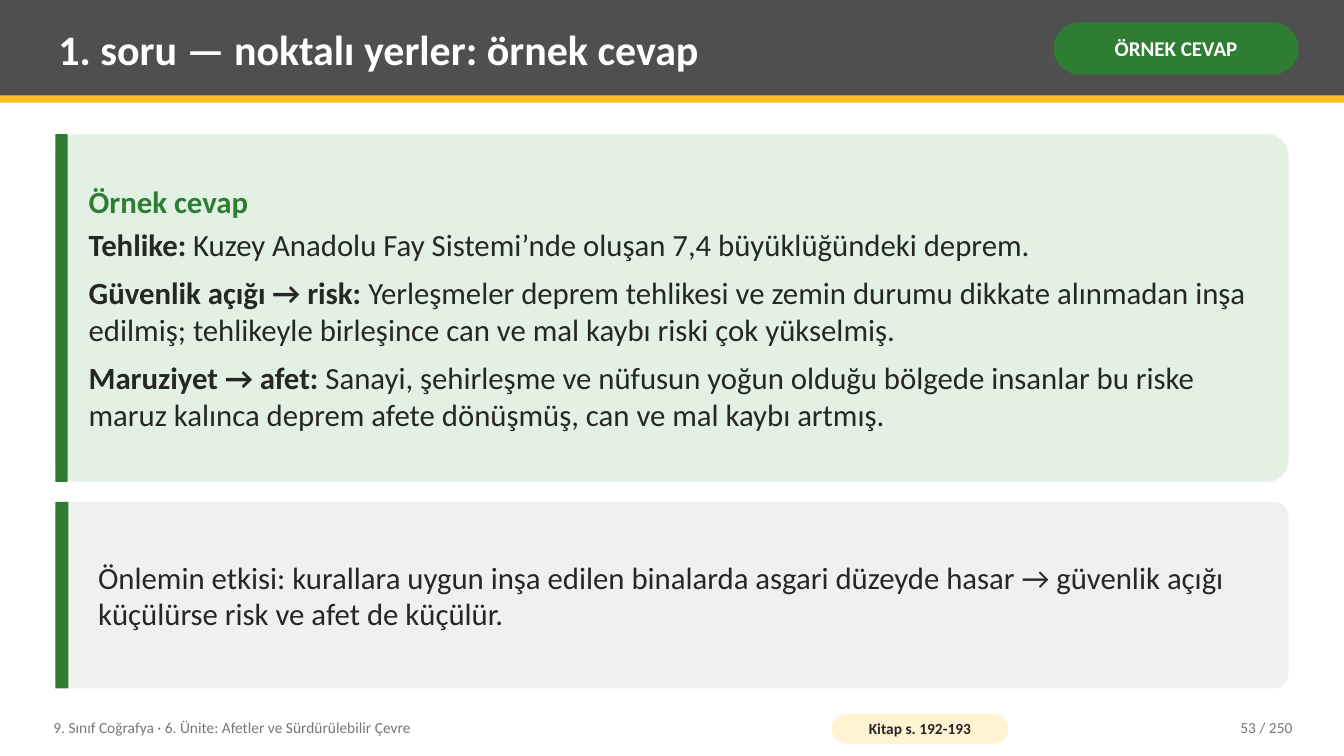
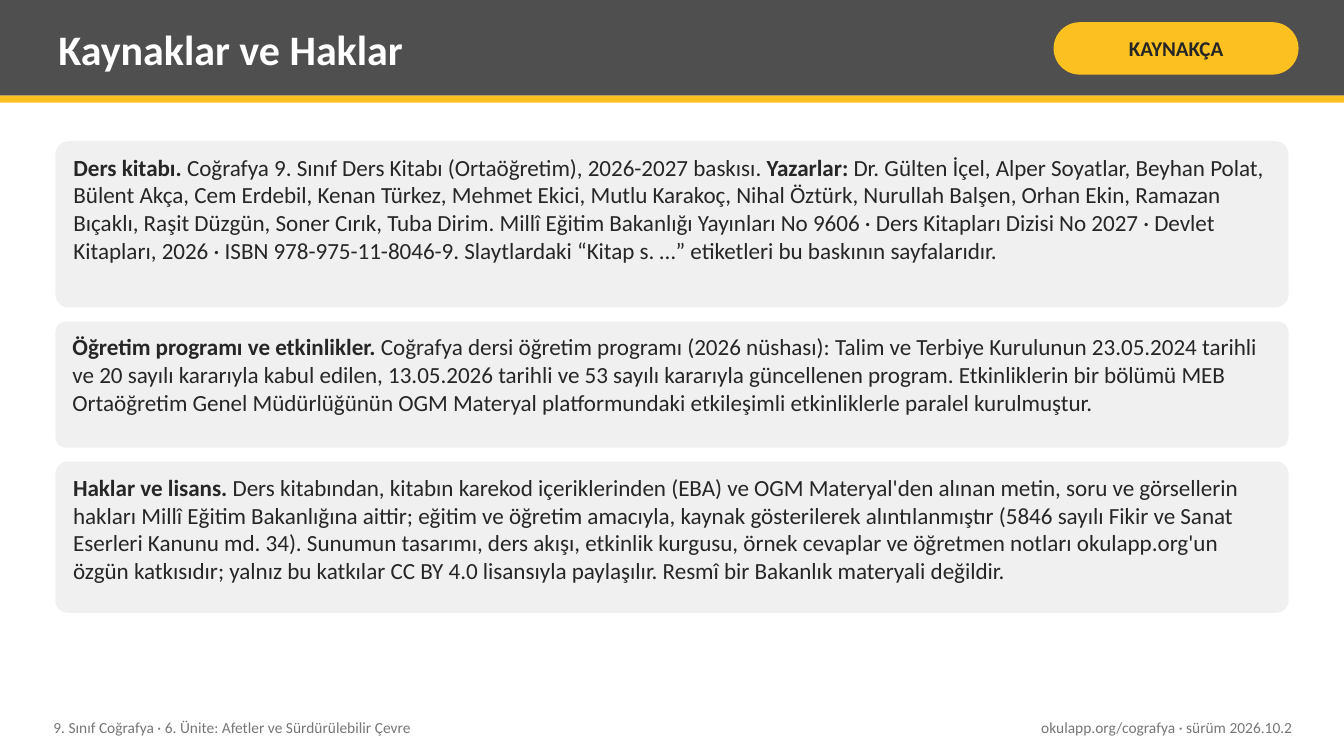
from dataclasses import dataclass

from lxml import etree
from pptx import Presentation
from pptx.dml.color import RGBColor
from pptx.enum.shapes import MSO_SHAPE
from pptx.enum.text import MSO_ANCHOR, MSO_AUTO_SIZE, PP_ALIGN
from pptx.oxml.ns import qn
from pptx.util import Emu, Pt

RECTANGLE, ROUNDED = MSO_SHAPE.RECTANGLE, MSO_SHAPE.ROUNDED_RECTANGLE
LEFT, CENTER, RIGHT = PP_ALIGN.LEFT, PP_ALIGN.CENTER, PP_ALIGN.RIGHT
TOP, MIDDLE = MSO_ANCHOR.TOP, MSO_ANCHOR.MIDDLE
NO_AUTOFIT = MSO_AUTO_SIZE.NONE
PX = 9144  # 100 px to the inch


@dataclass(frozen=True)
class Theme:
    font: str = "Calibri"
    header: str = "4F4F4F"
    accent: str = "FCC021"
    green: str = "2E7D32"
    pale_green: str = "E3F1E4"
    panel: str = "F0F0F0"
    pale_yellow: str = "FFF3D1"
    ink: str = "262626"
    muted: str = "767676"
    white: str = "FFFFFF"
    title_size: float = 30
    body_size: float = 22
    source_size: float = 16.5
    badge_size: float = 15
    footer_size: float = 11


THEME = Theme()


def write(shape, *texts, size, color=THEME.ink, heading_color=None, align=LEFT,
          anchor=MIDDLE, insets=(8, 4, 8, 4), space_after=0):
    """Fill a shape with paragraphs; text between ** marks is bold."""
    frame = shape.text_frame
    frame.word_wrap = True
    frame.auto_size = NO_AUTOFIT
    frame.vertical_anchor = anchor
    frame.margin_left, frame.margin_top, frame.margin_right, frame.margin_bottom = (
        Emu(inset * PX) for inset in insets)
    for number, text in enumerate(texts):
        is_heading = number == 0 and heading_color is not None
        paragraph = frame.add_paragraph() if number else frame.paragraphs[0]
        if shape.is_placeholder:
            properties = paragraph._p.get_or_add_pPr()
            properties.set("marL", "0")
            properties.set("indent", "0")
            etree.SubElement(properties, qn("a:buNone"))
        paragraph.alignment = align
        paragraph.space_before = Pt(0)
        is_last = number == len(texts) - 1
        paragraph.space_after = Pt(0 if is_last else 4 if is_heading else space_after)
        for index, part in enumerate(text.split("**")):
            if part:
                run = paragraph.add_run()
                run.text = part
                run.font.name = THEME.font
                run.font.size = Pt(size)
                run.font.bold = index % 2 == 1
                run.font.color.rgb = RGBColor.from_string(
                    heading_color if is_heading else color)


def add_box(slide, box, fill=None, radius=None):
    """Add a filled rectangle, rounded when a radius is given, or a text box."""
    place = [Emu(length * PX) for length in box]
    if fill is None:
        return slide.shapes.add_textbox(*place)
    shape = slide.shapes.add_shape(ROUNDED if radius else RECTANGLE, *place)
    if radius:
        shape.adjustments[0] = radius
    shape.shadow.inherit = False
    shape.fill.solid()
    shape.fill.fore_color.rgb = RGBColor.from_string(fill)
    shape.line.fill.background()
    return shape


presentation = Presentation()
presentation.slide_width, presentation.slide_height = Emu(1333 * PX), Emu(750 * PX)
layouts = presentation.slide_layouts
answer_slide = presentation.slides.add_slide(layouts.get_by_name("Title and Content"))
sources_slide = presentation.slides.add_slide(layouts.get_by_name("Title Only"))

# Header bands and unit footer, moved to the slide master
unit_footer = add_box(answer_slide, (45, 704, 760, 36))
write(unit_footer, "9. Sınıf Coğrafya · 6. Ünite: Afetler ve Sürdürülebilir Çevre",
      size=THEME.footer_size, color=THEME.muted)
master_shapes = [
    add_box(answer_slide, (0, 0, 1333, 95), THEME.header),
    add_box(answer_slide, (0, 95, 1333, 7), THEME.accent),
    unit_footer,
]
master_tree = presentation.slide_master.shapes.element
for number, shape in enumerate(master_shapes):
    shape.element.nvSpPr.cNvPr.set("id", str(101 + number))
    master_tree.insert(2 + number, shape.element)

# Title, badge and right footer of each slide
slide_frames = [
    (answer_slide, "1. soru — noktalı yerler: örnek cevap", "ÖRNEK CEVAP",
     THEME.green, THEME.white, "53 / 250"),
    (sources_slide, "Kaynaklar ve Haklar", "KAYNAKÇA",
     THEME.accent, THEME.ink, "okulapp.org/cografya · sürüm 2026.10.2"),
]
for slide, title_text, badge_text, badge_fill, badge_color, footer_text in slide_frames:
    title = slide.shapes.title
    title.left, title.top, title.width, title.height = (
        Emu(length * PX) for length in (50, 7, 975, 82))
    write(title, f"**{title_text}**", size=THEME.title_size, color=THEME.white)
    badge = add_box(slide, (1045, 22, 243, 52), badge_fill, radius=0.5)
    write(badge, f"**{badge_text}**", size=THEME.badge_size, color=badge_color,
          align=CENTER, insets=(5, 2, 5, 2))
    footer = add_box(slide, (930, 704, 360, 36))
    write(footer, footer_text, size=THEME.footer_size, color=THEME.muted, align=RIGHT)

# Answer slide: sample answer
PANEL_LEFT, PANEL_WIDTH = 55, 1223
add_box(answer_slide, (PANEL_LEFT, 133, PANEL_WIDTH, 345), THEME.pale_green, radius=0.06)
add_box(answer_slide, (PANEL_LEFT, 133, 12, 345), THEME.green)
answer = answer_slide.placeholders[1]
answer.left, answer.top, answer.width, answer.height = (
    Emu(length * PX) for length in (80, 139, 1188, 333))
answer_slide.shapes.element.append(answer.element)  # bring in front of its panel
write(
    answer,
    "**Örnek cevap**",
    "**Tehlike:** Kuzey Anadolu Fay Sistemi’nde oluşan 7,4 büyüklüğündeki deprem.",
    "**Güvenlik açığı → risk:** Yerleşmeler deprem tehlikesi ve zemin durumu dikkate "
    "alınmadan inşa edilmiş; tehlikeyle birleşince can ve mal kaybı riski çok yükselmiş.",
    "**Maruziyet → afet:** Sanayi, şehirleşme ve nüfusun yoğun olduğu bölgede insanlar "
    "bu riske maruz kalınca deprem afete dönüşmüş, can ve mal kaybı artmış.",
    size=THEME.body_size, heading_color=THEME.green, space_after=8)

# Answer slide: effect of precautions and book page
effect = add_box(answer_slide, (PANEL_LEFT, 498, PANEL_WIDTH, 185), THEME.panel, radius=0.08)
write(effect,
      "Önlemin etkisi: kurallara uygun inşa edilen binalarda asgari düzeyde hasar → "
      "güvenlik açığı küçülürse risk ve afet de küçülür.",
      size=THEME.body_size, insets=(38, 4, 23, 4))
add_box(answer_slide, (PANEL_LEFT, 498, 13, 185), THEME.green)
book_page = add_box(answer_slide, (825, 708, 175, 30), THEME.pale_yellow, radius=0.5)
write(book_page, "**Kitap s. 192-193**", size=THEME.footer_size, align=CENTER,
      insets=(4, 0, 4, 0))

# Sources slide: stacked panels with equal gaps
SOURCE_GAP = 14
sources = [
    (165, "**Ders kitabı.** Coğrafya 9. Sınıf Ders Kitabı (Ortaöğretim), 2026-2027 baskısı. "
          "**Yazarlar:** Dr. Gülten İçel, Alper Soyatlar, Beyhan Polat, Bülent Akça, "
          "Cem Erdebil, Kenan Türkez, Mehmet Ekici, Mutlu Karakoç, Nihal Öztürk, "
          "Nurullah Balşen, Orhan Ekin, Ramazan Bıçaklı, Raşit Düzgün, Soner Cırık, "
          "Tuba Dirim. Millî Eğitim Bakanlığı Yayınları No 9606 · Ders Kitapları Dizisi "
          "No 2027 · Devlet Kitapları, 2026 · ISBN 978-975-11-8046-9. Slaytlardaki "
          "“Kitap s. …” etiketleri bu baskının sayfalarıdır."),
    (125, "**Öğretim programı ve etkinlikler.** Coğrafya dersi öğretim programı (2026 "
          "nüshası): Talim ve Terbiye Kurulunun 23.05.2024 tarihli ve 20 sayılı kararıyla "
          "kabul edilen, 13.05.2026 tarihli ve 53 sayılı kararıyla güncellenen program. "
          "Etkinliklerin bir bölümü MEB Ortaöğretim Genel Müdürlüğünün OGM Materyal "
          "platformundaki etkileşimli etkinliklerle paralel kurulmuştur."),
    (150, "**Haklar ve lisans.** Ders kitabından, kitabın karekod içeriklerinden (EBA) ve "
          "OGM Materyal'den alınan metin, soru ve görsellerin hakları Millî Eğitim "
          "Bakanlığına aittir; eğitim ve öğretim amacıyla, kaynak gösterilerek "
          "alıntılanmıştır (5846 sayılı Fikir ve Sanat Eserleri Kanunu md. 34). Sunumun "
          "tasarımı, ders akışı, etkinlik kurgusu, örnek cevaplar ve öğretmen notları "
          "okulapp.org'un özgün katkısıdır; yalnız bu katkılar CC BY 4.0 lisansıyla "
          "paylaşılır. Resmî bir Bakanlık materyali değildir."),
]
source_top = 140
for height, source_text in sources:
    source = add_box(sources_slide, (PANEL_LEFT, source_top, PANEL_WIDTH, height),
                     THEME.panel, radius=0.08)
    write(source, source_text, size=THEME.source_size, anchor=TOP, insets=(14, 8, 14, 8))
    source_top += height + SOURCE_GAP

presentation.save("out.pptx")
